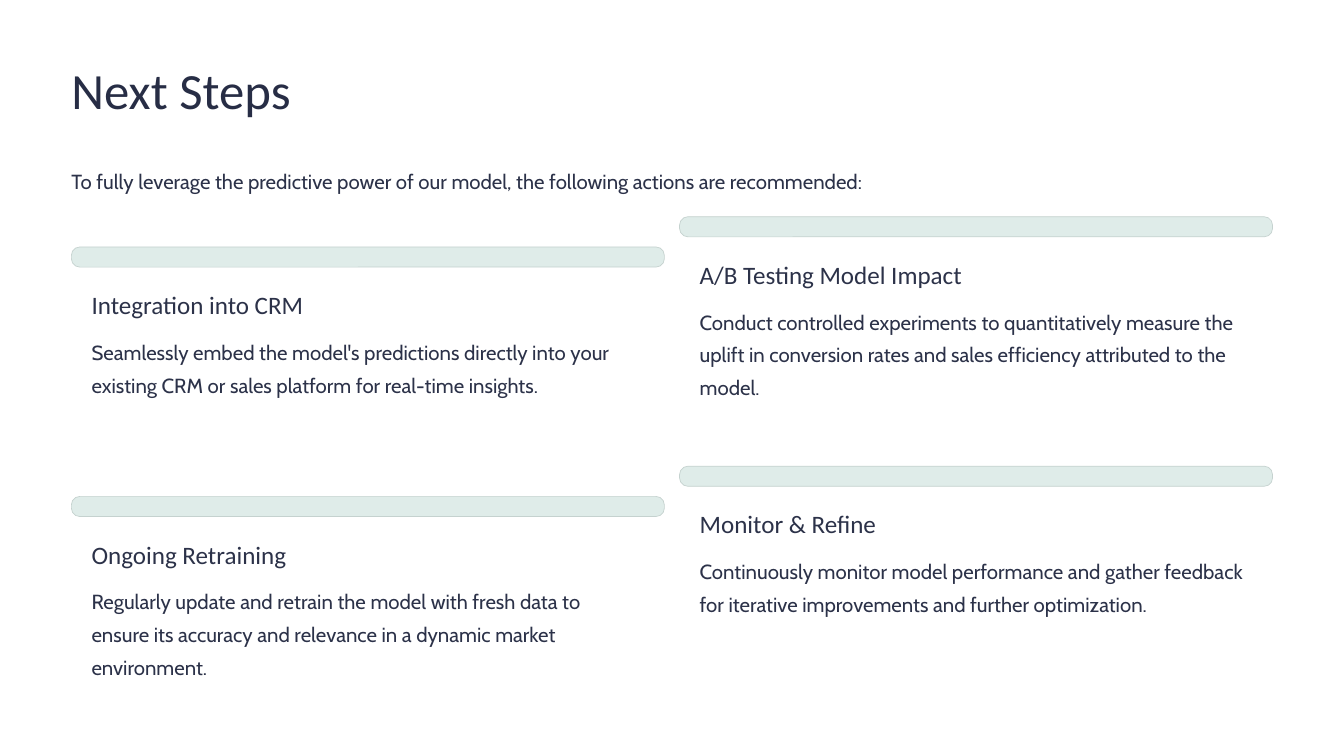
"""Build the Next Steps slide with four recommended actions."""
from pptx import Presentation
from pptx.dml.color import RGBColor
from pptx.enum import shapes, text
from pptx.util import Inches, Pt

COLORS = {"title": "272D45", "body": "2C3249", "bar": "DFECE9", "edge": "C5D2CF"}
FORMATS = {
    "title": {"name": "Calibri", "size": Pt(43.5), "bold": False},
    "heading": {"name": "Calibri", "size": Pt(21.5)},
    "body": {"name": "Cabin", "size": Pt(17.5)},
}
SPACING = {"title": Pt(54.5), "heading": Pt(27), "body": Pt(28)}
ACTIONS = [
    ("Integration into CRM",
     "Seamlessly embed the model's predictions directly into your existing CRM "
     "or sales platform for real-time insights."),
    ("A/B Testing Model Impact",
     "Conduct controlled experiments to quantitatively measure the uplift in "
     "conversion rates and sales efficiency attributed to the model."),
    ("Ongoing Retraining",
     "Regularly update and retrain the model with fresh data to ensure its "
     "accuracy and relevance in a dynamic market environment."),
    ("Monitor & Refine",
     "Continuously monitor model performance and gather feedback for iterative "
     "improvements and further optimization."),
]
LEFT, COLUMN_STEP = 0.85, 7.24
TOP, ROW_STEP, RIGHT_RISE = 2.94, 2.97, 0.36
INDENT = 0.24


def write(holder, words, style, wrap=False):
    frame = holder.text_frame
    margins = dict.fromkeys(("margin_left", "margin_top", "margin_right", "margin_bottom"), 0)
    layout = {"word_wrap": wrap, "auto_size": text.MSO_AUTO_SIZE.NONE,
              "vertical_anchor": text.MSO_ANCHOR.TOP}
    for key, value in (margins | layout).items():
        setattr(frame, key, value)
    paragraph = frame.paragraphs[0]
    paragraph.alignment = text.PP_ALIGN.LEFT
    paragraph.line_spacing = SPACING[style]
    run = paragraph.add_run()
    run.text = words
    for key, value in FORMATS[style].items():
        setattr(run.font, key, value)
    run.font.color.rgb = RGBColor.from_string(COLORS["title" if style == "title" else "body"])


def add_text(left, top, width, height, words, style, wrap=False):
    box = slide.shapes.add_textbox(Inches(left), Inches(top), Inches(width), Inches(height))
    write(box, words, style, wrap)


deck = Presentation()
deck.slide_width, deck.slide_height = Inches(16), Inches(9)
slide = deck.slides.add_slide(deck.slide_layouts[5])

title = slide.shapes.title
title.left, title.top = Inches(LEFT), Inches(0.67)
title.width, title.height = Inches(6.08), Inches(0.76)
write(title, "Next Steps", "title")

add_text(LEFT, 1.91, 14.3, 0.39,
         "To fully leverage the predictive power of our model, "
         "the following actions are recommended:", "body")

for index, (heading, description) in enumerate(ACTIONS):
    row, column = divmod(index, 2)
    left = LEFT + column * COLUMN_STEP
    top = TOP + row * ROW_STEP - column * RIGHT_RISE
    bar = slide.shapes.add_shape(shapes.MSO_SHAPE.ROUNDED_RECTANGLE,
                                 Inches(left), Inches(top), Inches(7.06), Inches(0.24))
    bar.adjustments[0] = 0.42
    bar.shadow.inherit = False
    bar.fill.solid()
    bar.fill.fore_color.rgb = RGBColor.from_string(COLORS["bar"])
    bar.line.color.rgb = RGBColor.from_string(COLORS["edge"])
    bar.line.width = Pt(0.6)
    add_text(left + INDENT, top + 0.49, 3.42, 0.38, heading, "heading")
    add_text(left + INDENT, top + 1.01, 6.57, 1.17, description, "body", wrap=True)

deck.save("out.pptx")
